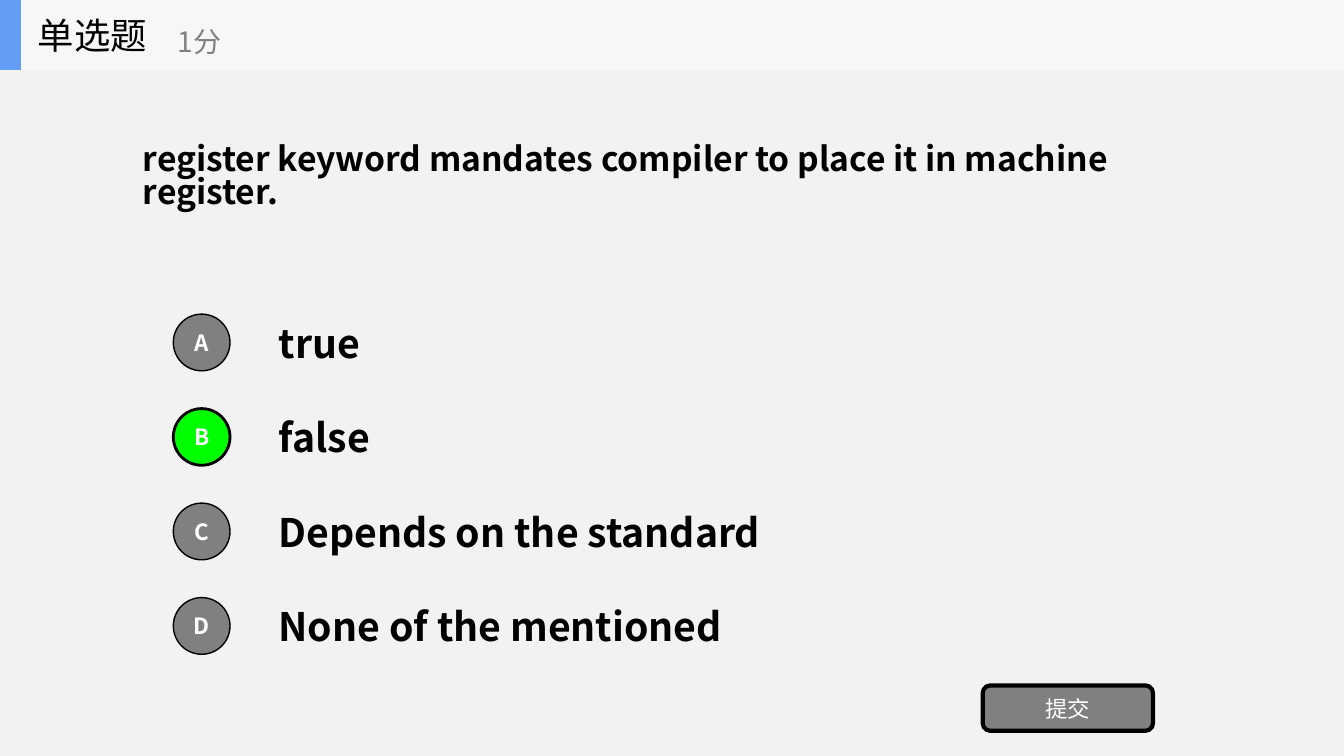
from pptx import Presentation
from pptx.dml.color import RGBColor
from pptx.enum.shapes import MSO_SHAPE as Preset
from pptx.enum.text import MSO_ANCHOR as Anchor, PP_ALIGN as Align
from pptx.oxml.ns import qn
from pptx.util import Pt

FONT = "Noto Sans CJK SC"
BLACK = RGBColor(0x00, 0x00, 0x00)
WHITE = RGBColor(0xFF, 0xFF, 0xFF)
GRAY = RGBColor(0x80, 0x80, 0x80)
GREEN = RGBColor(0x00, 0xFF, 0x00)
BLUE = RGBColor(0x63, 0x9E, 0xF4)
PALE = RGBColor(0xF6, 0xF7, 0xF8)
BACKDROP = RGBColor(0xF2, 0xF2, 0xF2)

PAGE_WIDTH, PAGE_HEIGHT = 960, 540
OPTIONS = ["true", "false", "Depends on the standard", "None of the mentioned"]
ANSWER = 1


def write(shape, text, size, color=BLACK, bold=False, align=Align.LEFT,
          wrap=True, spacing=None):
    """Fill a shape with one paragraph, centred vertically."""
    frame = shape.text_frame
    frame.word_wrap = wrap
    frame.vertical_anchor = Anchor.MIDDLE
    para = frame.paragraphs[0]
    para.alignment = align
    if spacing:
        para.line_spacing = spacing
    span = para.add_run()
    span.text = text
    span.font.name = FONT
    span.font.size = Pt(size)
    span.font.bold = bold
    span.font.color.rgb = color
    east_asian = span.font._element.makeelement(qn("a:ea"), {"typeface": FONT})
    span.font._element.find(qn("a:latin")).addnext(east_asian)
    return frame


def add_text(shapes, left, top, width, height, text, size, **style):
    box = shapes.add_textbox(Pt(left), Pt(top), Pt(width), Pt(height))
    return write(box, text, size, **style)


def add_block(shapes, preset, left, top, width, height, fill, line_width=0):
    block = shapes.add_shape(preset, Pt(left), Pt(top), Pt(width), Pt(height))
    block.shadow.inherit = False
    block.fill.solid()
    block.fill.fore_color.rgb = fill
    if line_width:
        block.line.color.rgb = BLACK
        block.line.width = Pt(line_width)
    else:
        block.line.fill.background()
    return block


def add_header(page, left, top, width, height):
    shapes = page.shapes.add_group_shape().shapes
    add_block(shapes, Preset.RECTANGLE, left, top, width, height, PALE)
    add_block(shapes, Preset.RECTANGLE, left, top, 15, height, BLUE)
    add_text(shapes, left + 20, top, 150, height, "单选题", 26, wrap=False)
    add_text(shapes, left + 120, top + 9, 180, height - 9.5, "1分", 20,
             color=GRAY, wrap=False)


def add_question(page, left, top, width, height):
    frame = add_text(
        page.shapes, left, top, width, height,
        "register keyword mandates compiler to place it in machine register.",
        24, bold=True, spacing=0.82)
    # A deep bottom margin lifts the question above the middle of its box
    frame.margin_bottom = Pt(38)


def add_options(page, left, top, width, pitch):
    row_height, circle, text_indent = 50.4, 40.5, 68.2
    for index, option in enumerate(OPTIONS):
        row_top = top + index * pitch
        correct = index == ANSWER
        add_text(page.shapes, left + text_indent, row_top,
                 width - text_indent, row_height, option, 28, bold=True)
        badge = add_block(page.shapes, Preset.OVAL, left,
                          row_top + (row_height - circle) / 2, circle, circle,
                          GREEN if correct else GRAY, 2 if correct else 1)
        frame = write(badge, "ABCD"[index], 16, color=WHITE, bold=True,
                      align=Align.CENTER, wrap=False)
        frame.margin_left = frame.margin_right = 0


def add_submit_button(page, left, top, width, height):
    button = add_block(page.shapes, Preset.ROUNDED_RECTANGLE,
                       left, top, width, height, GRAY, 3)
    write(button, "提交", 16, color=WHITE, align=Align.CENTER)


def main():
    deck = Presentation()
    deck.slide_width, deck.slide_height = Pt(PAGE_WIDTH), Pt(PAGE_HEIGHT)
    page = deck.slides.add_slide(deck.slide_layouts[6])
    page.background.fill.solid()
    page.background.fill.fore_color.rgb = BACKDROP

    add_question(page, 95, 86.4, 768, 116)
    add_options(page, 123.8, 219.4, 740.2, 67.5)
    add_submit_button(page, 702, 489.6, 121.6, 32.4)
    add_header(page, 0, 0, PAGE_WIDTH, 50)
    deck.save("out.pptx")


if __name__ == "__main__":
    main()
